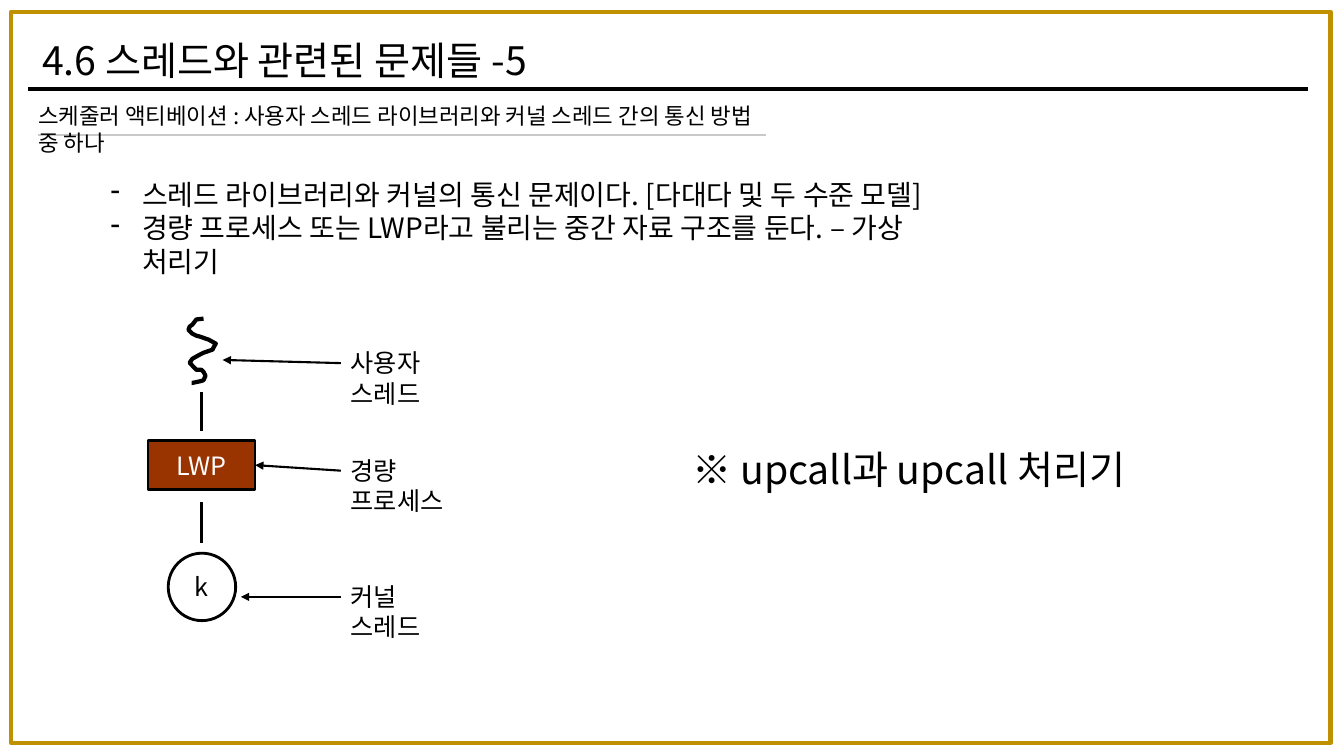
from dataclasses import dataclass

from lxml.etree import SubElement
from pptx import Presentation
from pptx.dml.color import RGBColor
from pptx.enum.shapes import MSO_CONNECTOR as Connector, MSO_SHAPE as Shape
from pptx.enum.text import MSO_ANCHOR as Anchor, MSO_AUTO_SIZE as AutoSize, PP_ALIGN as Align
from pptx.oxml.ns import qn
from pptx.util import Cm, Pt


@dataclass(frozen=True)
class Theme:
    font: str = "Noto Sans CJK KR"
    ink: str = "000000"
    paper: str = "FFFFFF"
    frame: str = "BF9000"
    divider: str = "C9C9C9"
    process: str = "993300"
    title: int = 28
    body: int = 20
    label: int = 18
    heading: int = 16


THEME = Theme()
LABEL_LEFT, LABEL_HEIGHT = 8.59, 1.02
AXIS = 5.08  # centre of the thread, LWP and kernel column

POINTS = [
    "스레드 라이브러리와 커널의 통신 문제이다. [다대다 및 두 수준 모델]",
    "경량 프로세스 또는 LWP라고 불리는 중간 자료 구조를 둔다. – 가상 처리기",
]
# Hundredths of a centimetre
THREAD_CURVE = [
    (513, 803), (495, 805), (485, 818), (478, 823), (475, 831), (485, 841),
    (495, 846), (503, 848), (526, 856), (544, 866), (538, 876), (536, 881),
    (513, 889), (503, 894), (485, 904), (478, 914), (490, 927), (495, 932),
    (508, 932), (513, 937), (518, 947), (513, 958), (508, 960), (485, 965),
    (483, 965),
]


def rgb(colour):
    return RGBColor.from_string(colour)


def add_span(para, text, size, colour=THEME.ink):
    span = para.add_run()
    span.text = text
    span.font.size = Pt(size)
    span.font.name = THEME.font
    span.font.color.rgb = rgb(colour)
    SubElement(span.font._element, qn("a:ea"), typeface=THEME.font)


def add_dash(para):
    """Give the paragraph a hanging dash bullet."""
    props = para._p.get_or_add_pPr()
    props.set("marL", str(Cm(0.79)))
    props.set("indent", str(-Cm(0.79)))
    SubElement(props, qn("a:buChar"), char="-")


def add_text(page, lines, left, top, width, height, size, dashed=False):
    box = page.shapes.add_textbox(Cm(left), Cm(top), Cm(width), Cm(height))
    frame = box.text_frame
    frame.word_wrap = True
    frame.auto_size = AutoSize.SHAPE_TO_FIT_TEXT
    for index, line in enumerate(lines):
        para = frame.add_paragraph() if index else frame.paragraphs[0]
        if dashed:
            add_dash(para)
        add_span(para, line, size)


def style_outline(shape, colour, weight, fill=None):
    shape.shadow.inherit = False
    shape.line.color.rgb = rgb(colour)
    shape.line.width = Pt(weight)
    if fill:
        shape.fill.solid()
        shape.fill.fore_color.rgb = rgb(fill)
    else:
        shape.fill.background()


def add_node(page, kind, text, left, top, width, height, colour, fill=None):
    node = page.shapes.add_shape(kind, Cm(left), Cm(top), Cm(width), Cm(height))
    style_outline(node, THEME.ink, 2, fill)
    node.text_frame.vertical_anchor = Anchor.MIDDLE
    para = node.text_frame.paragraphs[0]
    para.alignment = Align.CENTER
    add_span(para, text, THEME.label, colour)
    return node


def add_line(page, start, end, weight, colour=THEME.ink):
    line = page.shapes.add_connector(Connector.STRAIGHT, *map(Cm, start + end))
    line.line.color.rgb = rgb(colour)
    line.line.width = Pt(weight)
    SubElement(line._element.spPr, qn("a:effectLst"))
    return line


def add_callout(page, text, top, width, tip):
    """Place a label and an arrow from its left side to the tip."""
    add_text(page, [text], LABEL_LEFT, top, width, LABEL_HEIGHT, THEME.label)
    arrow = add_line(page, (LABEL_LEFT, top + LABEL_HEIGHT / 2), tip, 1.5)
    SubElement(arrow.line._get_or_add_ln(), qn("a:tailEnd"), type="triangle")
    return arrow


def add_thread(page):
    builder = page.shapes.build_freeform(*THREAD_CURVE[0], scale=Cm(0.01))
    builder.add_line_segments(THREAD_CURVE[1:], close=False)
    style_outline(builder.convert_to_shape(), THEME.ink, 3)


def add_header(page):
    add_text(page, ["4.6 스레드와 관련된 문제들 -5"], 0.81, 0.79, 13.54, 1.45, THEME.title)
    add_line(page, (0.71, 2.24), (32.97, 2.24), 3)
    frame = page.shapes.add_shape(Shape.RECTANGLE, Cm(0.28), Cm(0.3), Cm(33.25), Cm(18.72))
    style_outline(frame, THEME.frame, 3)
    frame.height = Cm(18.42)
    add_line(page, (0.97, 3.4), (19.3, 3.4), 1.75, THEME.divider)
    heading = "스케줄러 액티베이션 : 사용자 스레드 라이브러리와 커널 스레드 간의 통신 방법 중 하나"
    add_text(page, [heading], 0.71, 2.46, 19.02, 0.94, THEME.heading)


def add_diagram(page):
    add_thread(page)
    process = add_node(page, Shape.RECTANGLE, "LWP", 3.73, 11.1, 2.7, 1.24,
                       THEME.paper, THEME.process)
    add_node(page, Shape.OVAL, "k", 4.24, 13.94, 1.7, 1.7, THEME.ink)
    add_callout(page, "사용자 스레드", 8.64, 3.86, (5.61, 9.07))
    add_callout(page, "경량 프로세스", 11.35, 3.89, (6.43, 11.72)).end_connect(process, 3)
    add_callout(page, "커널 스레드", 14.53, 3.33, (6.07, 15.04))
    for top, bottom in ((9.88, 10.87), (12.65, 13.69)):
        add_line(page, (AXIS, top), (AXIS, bottom), 2)


def main():
    deck = Presentation()
    deck.slide_width, deck.slide_height = Cm(33.87), Cm(19.05)
    page = deck.slides.add_slide(deck.slide_layouts[6])
    add_header(page)
    add_text(page, POINTS, 2.54, 4.34, 21.18, 1.96, THEME.body, dashed=True)
    add_diagram(page)
    add_text(page, ["※ upcall과 upcall 처리기"], 17.2, 11.1, 12.32, 1.45, THEME.title)
    deck.save("out.pptx")


if __name__ == "__main__":
    main()
